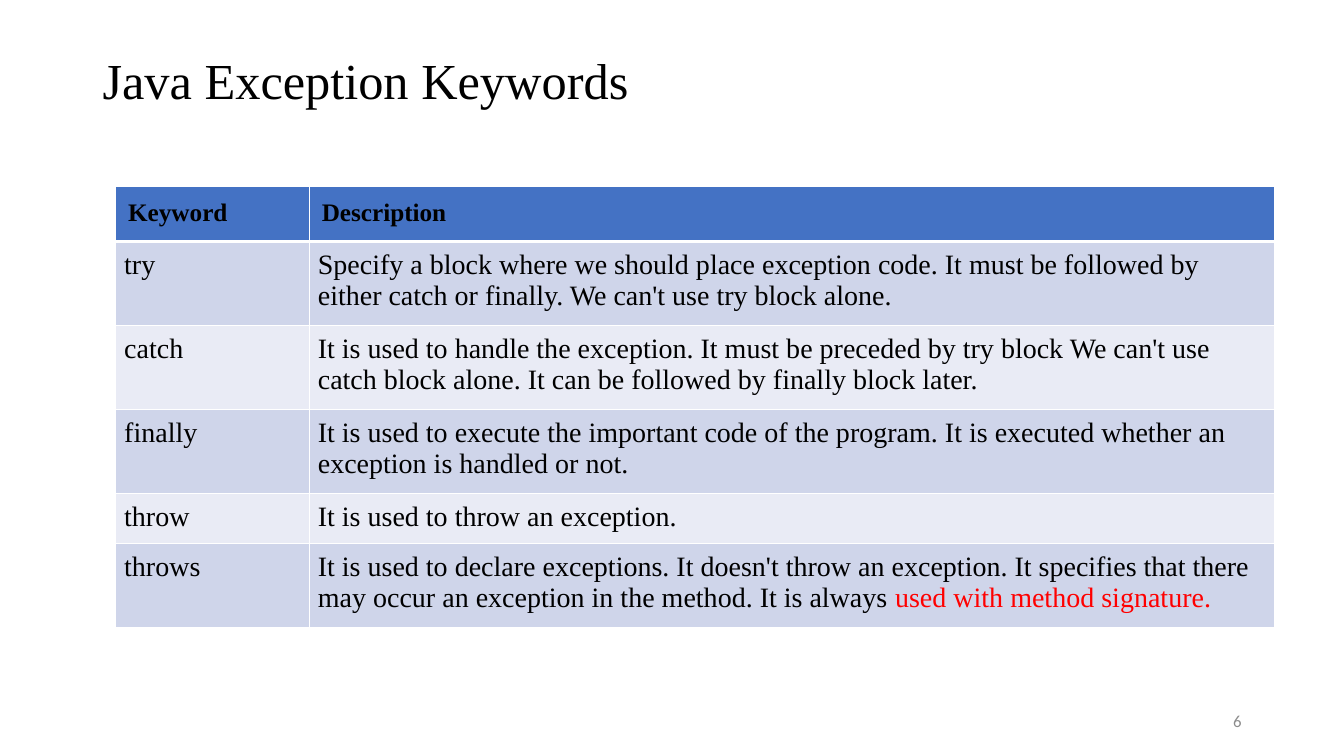
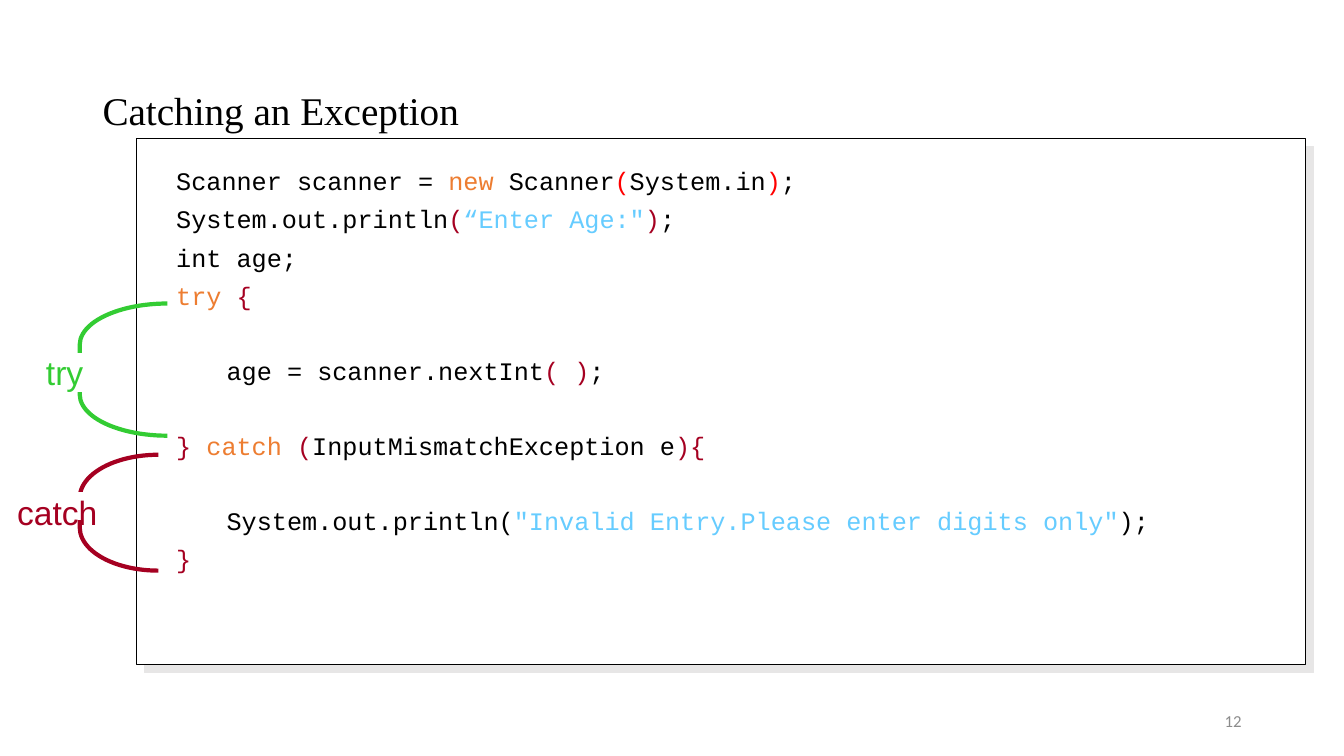
from collections import namedtuple
from dataclasses import dataclass

from lxml.etree import SubElement
from pptx import Presentation
from pptx.dml.color import RGBColor
from pptx.enum.shapes import MSO_SHAPE as Preset
from pptx.enum.text import MSO_ANCHOR as Anchor, MSO_AUTO_SIZE as AutoSize, PP_ALIGN as Align
from pptx.oxml import parse_xml
from pptx.oxml.ns import nsdecls, qn
from pptx.util import Cm, Pt


@dataclass(frozen=True)
class Theme:
    serif: str = "Times New Roman"
    mono: str = "Courier New"
    sans: str = "Arial"
    footer: str = "Calibri"
    black: str = "000000"
    white: str = "FFFFFF"
    gray: str = "8C8C8C"
    shadow: str = "E7E6E6"
    header: str = "4472C4"
    bands: tuple = ("CFD5EA", "E9EBF5")
    red: str = "FF0000"
    orange: str = "ED7D31"
    crimson: str = "A50021"
    sky: str = "66CCFF"
    green: str = "33CC33"
    title_size: int = 36
    small_title_size: int = 28
    label_size: int = 24
    body_size: int = 20
    code_size: int = 18
    footer_size: int = 12


THEME = Theme()
Box = namedtuple("Box", "left top width height")
CodeLine = namedtuple("CodeLine", "runs indented gap_above", defaults=(False, False))

TITLE_BOX = Box(2.33, 1.01, 29.21, 3.68)
NUMBER_BOX = Box(23.92, 17.66, 7.62, 1.01)


def in_cm(box):
    return [Cm(length) for length in box]


def inside(box, left, top, width, height):
    """Box whose left and top are offsets from those of another box."""
    return Box(box.left + left, box.top + top, width, height)


def write(paragraph, runs, font=THEME.serif, size=THEME.body_size, color=THEME.black,
          bold=False, align=Align.LEFT, spacing=None, before=None):
    """Write a string, or a list of strings and (string, colour) pairs."""
    paragraph.alignment = align
    if spacing:
        paragraph.line_spacing = spacing
    if before:
        paragraph.space_before = Pt(before)
    for part in [runs] if isinstance(runs, str) else runs:
        text, part_color = (part, color) if isinstance(part, str) else part
        run = paragraph.add_run()
        run.text = text
        run.font.name, run.font.size, run.font.bold = font, Pt(size), bold
        run.font.color.rgb = RGBColor.from_string(part_color)


def add_text_frame(slide, box, wrap=True):
    frame = slide.shapes.add_textbox(*in_cm(box)).text_frame
    frame.word_wrap = wrap
    return frame


def add_outline(slide, preset, box, line, weight, fill=None):
    outline = slide.shapes.add_shape(preset, *in_cm(box))
    outline.shadow.inherit = False
    outline.line.color.rgb = RGBColor.from_string(line)
    outline.line.width = Pt(weight)
    if fill:
        outline.fill.solid()
        outline.fill.fore_color.rgb = RGBColor.from_string(fill)
    else:
        outline.fill.background()
    return outline


# Title and slide number
def add_titled_slide(deck, heading, number, size, lift=0):
    slide = deck.slides.add_slide(deck.slide_layouts[5])
    title = slide.shapes.title
    title.left, title.top, title.width, title.height = in_cm(TITLE_BOX)
    frame = title.text_frame
    frame.word_wrap, frame.auto_size = True, AutoSize.NONE
    frame.vertical_anchor = Anchor.MIDDLE
    frame.margin_bottom = Cm(0.13 + lift)
    write(frame.paragraphs[0], heading, size=size, spacing=0.9)

    footer = add_text_frame(slide, NUMBER_BOX)
    footer.vertical_anchor = Anchor.MIDDLE
    write(footer.paragraphs[0], number, font=THEME.footer, size=THEME.footer_size,
          color=THEME.gray, align=Align.RIGHT)
    return slide


# Keyword table
def format_cell(cell, fill, margin, top=1, bottom=1):
    cell.fill.solid()
    cell.fill.fore_color.rgb = RGBColor.from_string(fill)
    cell.margin_left = cell.margin_right = Cm(margin)
    cell.margin_top = cell.margin_bottom = Cm(margin)
    properties = cell._tc.get_or_add_tcPr()
    for place, (side, weight) in enumerate(zip("LRTB", (1, 1, top, bottom))):
        properties.insert(place, parse_xml(
            f'<a:ln{side} {nsdecls("a")} w="{Pt(weight)}"><a:solidFill>'
            f'<a:srgbClr val="{THEME.white}"/></a:solidFill></a:ln{side}>'))


def add_keyword_table(slide, box, column_widths, rows):
    table = slide.shapes.add_table(len(rows), len(column_widths), *in_cm(box)).table
    for column, width in zip(table.columns, column_widths):
        column.width = Cm(width)
    for index, row in enumerate(rows):
        is_header = index == 0
        for cell, content in zip(table.rows[index].cells, row):
            if is_header:
                format_cell(cell, THEME.header, margin=0.31, bottom=3)
            else:
                format_cell(cell, THEME.bands[(index - 1) % 2], margin=0.21,
                            top=3 if index == 1 else 1)
            write(cell.text_frame.paragraphs[0], content, bold=is_header,
                  size=THEME.code_size if is_header else THEME.body_size)


# Code panel with its offset shadow
def add_code_panel(slide, box, lines):
    panel = add_outline(slide, Preset.RECTANGLE, box, THEME.black, 0.75, THEME.white)
    effects = panel._element.spPr.find(qn("a:effectLst"))
    shadow = SubElement(effects, qn("a:outerShdw"), dist=str(Pt(8.5)), dir="2700000",
                        algn="ctr", rotWithShape="0")
    SubElement(shadow, qn("a:srgbClr"), val=THEME.shadow)

    pitch, gap = 26.3, 10
    frame = add_text_frame(slide, inside(box, 0.76, 0.71, box.width - 1.09, 10.87))
    for index, line in enumerate(lines):
        paragraph = frame.add_paragraph() if index else frame.paragraphs[0]
        if line.indented:
            paragraph._p.get_or_add_pPr().set("marL", str(Cm(1.27)))
        write(paragraph, line.runs, font=THEME.mono, size=THEME.code_size, spacing=0.8,
              before=gap + pitch if line.gap_above else gap)


# Bracket interrupted by the name of its block
def add_block_bracket(slide, box, name, color, curve, break_box, name_box, wrap):
    bracket = add_outline(slide, Preset.LEFT_BRACKET, box, color, 3)
    bracket.adjustments[0] = curve
    add_outline(slide, Preset.RECTANGLE, inside(box, *break_box), THEME.white, 0.75, THEME.white)
    label = add_text_frame(slide, inside(box, *name_box), wrap=wrap)
    write(label.paragraphs[0], name, font=THEME.sans, size=THEME.label_size, color=color)


KEYWORDS = [
    ("Keyword", "Description"),
    ("try", "Specify a block where we should place exception code. It must be followed by "
            "either catch or finally. We can't use try block alone."),
    ("catch", "It is used to handle the exception. It must be preceded by try block We can't "
              "use catch block alone. It can be followed by finally block later."),
    ("finally", "It is used to execute the important code of the program. It is executed "
                "whether an exception is handled or not."),
    ("throw", "It is used to throw an exception."),
    ("throws", ["It is used to declare exceptions. It doesn't throw an exception. It specifies "
                "that there may occur an exception in the method. It is always ",
                ("used with method signature.", THEME.red)]),
]

CODE = [
    CodeLine(["Scanner scanner = ", ("new", THEME.orange), " Scanner", ("(", THEME.red),
              "System.in", (")", THEME.red), ";"]),
    CodeLine(["System.out.println", ("(", THEME.crimson), ("“Enter Age:\"", THEME.sky),
              (")", THEME.crimson), ";"]),
    CodeLine("int age;"),
    CodeLine([("try ", THEME.orange), ("{", THEME.crimson)]),
    CodeLine(["age = scanner.nextInt", ("( )", THEME.crimson), ";"],
             indented=True, gap_above=True),
    CodeLine([("} ", THEME.crimson), ("catch ", THEME.orange), ("(", THEME.crimson),
              "InputMismatchException e", ("){", THEME.crimson)], gap_above=True),
    CodeLine(["System.out.println(", ("\"Invalid Entry.Please enter digits only\"", THEME.sky),
              ");"], indented=True, gap_above=True),
    CodeLine([("}", THEME.crimson)]),
]


def build_keywords_slide(deck):
    slide = add_titled_slide(deck, "Java Exception Keywords", "6", THEME.title_size, lift=1.5)
    add_keyword_table(slide, Box(2.92, 4.7, 29.21, 6.3), (4.88, 24.33), KEYWORDS)


def build_catching_slide(deck):
    slide = add_titled_slide(deck, "Catching an Exception", "12", THEME.small_title_size)
    add_code_panel(slide, Box(3.43, 3.48, 29.46, 13.26), CODE)
    add_block_bracket(slide, Box(2.01, 7.65, 2.21, 3.33), "try", THEME.green, curve=0.47,
                      break_box=(-1.3, 1.27, 2.67, 0.94),
                      name_box=(-1.1, 1.09, 1.63, 1.09), wrap=False)
    add_block_bracket(slide, Box(2.01, 11.46, 1.98, 2.92), "catch", THEME.crimson, curve=0.55,
                      break_box=(-1.55, 0.94, 2.77, 0.69),
                      name_box=(-1.83, 0.81, 3.53, 0.91), wrap=True)


deck = Presentation()
deck.slide_width, deck.slide_height = Cm(33.87), Cm(19.05)
build_keywords_slide(deck)
build_catching_slide(deck)
deck.save("out.pptx")
